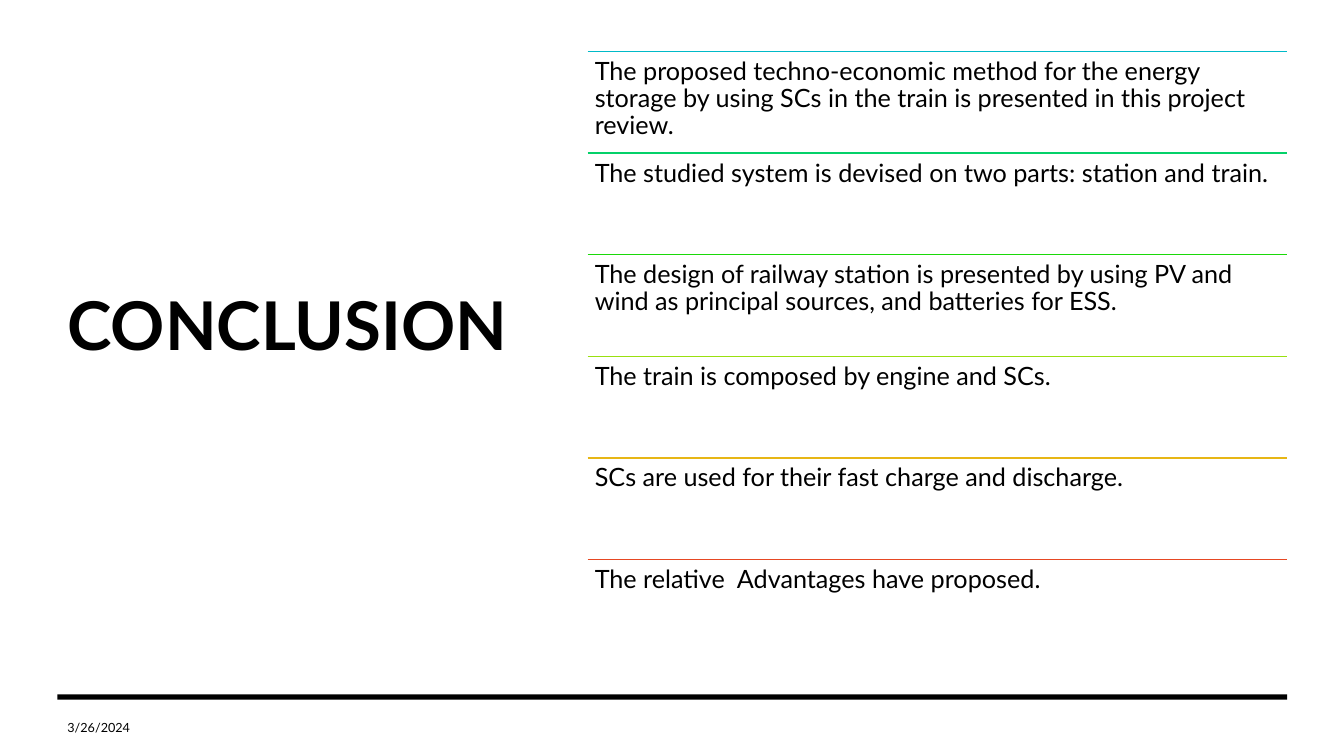
from pptx import Presentation
from pptx import util as u
from pptx.dml import color
from pptx.enum import shapes, text
from pptx.oxml import xmlchemy

COLOURS = {
    "paper": "FFFFFF",
    "ink": "000000",
    "teal": "00BAC8",
    "mint": "04D169",
    "green": "1AD909",
    "lime": "99E00F",
    "amber": "E7B615",
    "red": "E64823",
}

CONCLUSIONS = {
    "teal": "The proposed techno-economic method for the energy storage by using SCs "
            "in the train is presented in this project review.",
    "mint": "The studied system is devised on two parts: station and train.",
    "green": "The design of railway station is presented by using PV and wind as "
             "principal sources, and batteries for ESS.",
    "lime": "The train is composed by engine and SCs.",
    "amber": "SCs are used for their fast charge and discharge.",
    "red": "The relative  Advantages have proposed.",
}


def apply(target, values):
    for name, value in values.items():
        setattr(target, name, value)


class ConclusionSlide:
    font = "Lato"

    def __init__(self, deck):
        self.slide = deck.slides.add_slide(deck.slide_layouts[5])
        self.paint(self.slide.background.fill, "paper")

    def paint(self, fill, colour):
        fill.solid()
        fill.fore_color.rgb = color.RGBColor.from_string(COLOURS[colour])

    def typeset(self, shape, words, size, bold=False, frame=None, paragraph=None):
        apply(shape.text_frame, {
            "word_wrap": True,
            "auto_size": text.MSO_AUTO_SIZE.NONE,
            "vertical_anchor": text.MSO_ANCHOR.TOP,
            **(frame or {}),
        })
        line = shape.text_frame.paragraphs[0]
        apply(line, {
            "alignment": text.PP_ALIGN.LEFT,
            "space_after": u.Pt(6),
            **(paragraph or {}),
        })
        run = line.add_run()
        run.text = words
        apply(run.font, {"name": self.font, "size": u.Pt(size), "bold": bold})
        self.paint(run.font.fill, "ink")

    def title(self, words, left, top, width, height, size):
        heading = self.slide.shapes.title
        apply(heading, {
            "left": u.Cm(left),
            "top": u.Cm(top),
            "width": u.Cm(width),
            "height": u.Cm(height),
        })
        self.typeset(heading, words, size, bold=True)

    def label(self, words, left, top, width, height, size, **formats):
        box = self.slide.shapes.add_textbox(
            u.Cm(left), u.Cm(top), u.Cm(width), u.Cm(height))
        self.typeset(box, words, size, **formats)

    def bar(self, left, top, width, height, colour):
        strip = self.slide.shapes.add_shape(
            shapes.MSO_SHAPE.RECTANGLE,
            u.Cm(left), u.Cm(top), u.Cm(width), u.Cm(height))
        strip.shadow.inherit = False
        self.paint(strip.fill, colour)
        strip.line.fill.background()

    def rule(self, left, top, width, colour):
        divider = self.slide.shapes.add_connector(
            shapes.MSO_CONNECTOR.STRAIGHT,
            u.Cm(left), u.Cm(top), u.Cm(left + width), u.Cm(top))
        divider.line.width = u.Pt(1)
        self.paint(divider.line.fill, colour)
        effects = xmlchemy.OxmlElement("a:effectLst")
        divider._element.spPr.append(effects)

    def conclusions(self, left, top, width, step):
        inset = u.Cm(0.18)
        frame = {f"margin_{side}": inset for side in ("left", "top", "right", "bottom")}
        paragraph = {"line_spacing": 0.9, "space_after": u.Pt(6.3)}
        for row, (colour, words) in enumerate(CONCLUSIONS.items()):
            row_top = top + row * step
            self.rule(left, row_top, width, colour)
            self.label(words, left, row_top, width, step, 18,
                       frame=frame, paragraph=paragraph)


def main():
    deck = Presentation()
    apply(deck, {"slide_width": u.Cm(33.87), "slide_height": u.Cm(19.05)})
    page = ConclusionSlide(deck)
    page.title("CONCLUSION", 1.45, 7.01, 11.91, 15.34, 48)
    page.label("3/26/2024", 1.45, 17.83, 7.62, 1.02, 9,
               frame={"vertical_anchor": text.MSO_ANCHOR.MIDDLE})
    page.bar(1.45, 17.5, 30.99, 0.13, "ink")
    page.conclusions(14.81, 1.3, 17.62, 2.56)
    deck.save("out.pptx")


if __name__ == "__main__":
    main()
